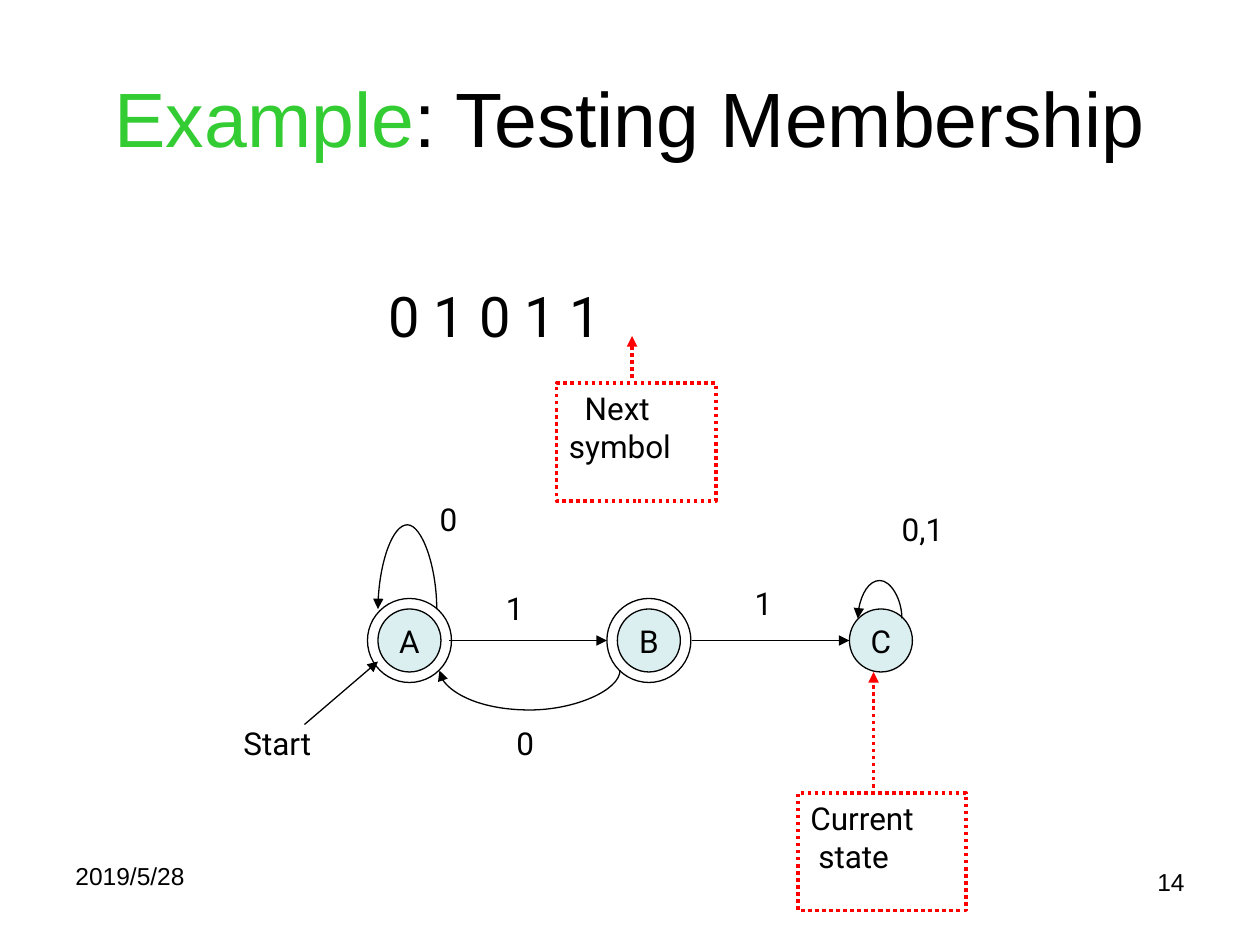
"""Build a slide that tests string membership with a three-state automaton."""
from lxml import etree
from pptx import Presentation
from pptx.dml.color import RGBColor
from pptx.enum.dml import MSO_LINE
from pptx.enum.shapes import MSO_CONNECTOR, MSO_SHAPE
from pptx.enum.text import MSO_ANCHOR, PP_ALIGN
from pptx.oxml.ns import qn
from pptx.util import Inches, Pt

OVAL, RECT = MSO_SHAPE.OVAL, MSO_SHAPE.RECTANGLE
LINE, CURVE = MSO_CONNECTOR.STRAIGHT, MSO_CONNECTOR.CURVE
DOT = MSO_LINE.ROUND_DOT
LEFT, MID, RIGHT = PP_ALIGN.LEFT, PP_ALIGN.CENTER, PP_ALIGN.RIGHT
TOP, HALF = MSO_ANCHOR.TOP, MSO_ANCHOR.MIDDLE

THEME = dict(ink="000000", green="33CC33", red="FF0000", state="BBE0E3",
             head="Arial", body="Roboto", title=44, tape=32, text=18, foot=14,
             thin=0.75, thick=2)
COLS, ROWS = 120, 90
CELL = Inches(10) / COLS
AXIS, DISC, RING = 61, 3, 4

TITLE = [("Example", "green"), (": Testing Membership", "ink")]
STATES = [("A", 39, True), ("B", 61.8, True), ("C", 83.9, False)]
LABELS = [("Start", 22, 68.4, 10.8), ("1", 47, 55.5, 4.6), ("0", 48, 68.4, 4.6),
          ("1", 70.7, 55, 4.6), ("0", 40.7, 47, 4.6), ("0,1", 84.7, 48, 8)]
ARROWS = [(29, 69, 36, 63), (42.8, AXIS, 57.8, AXIS), (65.9, AXIS, 80.9, AXIS)]
LOOPS = [(38.8, 58, 5.6, -8.9), (50.45, 63.85, 17.2, 4.2), (83.8, 58.9, 4.2, -4)]
NOTES = [([("Next", 1.5), ("symbol", 0)], 53, 36.5, 15.2, 32),
         ([("Current", 0), ("state", 0.75)], 76, 75.5, 16, 64)]
FEET = [("14", 86, 82, RIGHT), ("2019/5/28", 6, 81.4, LEFT)]


def at(*cells):
    return [round(c * CELL) for c in cells]


def color(name):
    return RGBColor.from_string(THEME[name])


def write(shape, lines, size="text", font="body", align=LEFT, anchor=TOP, pad=None):
    """Each line is (runs, indent); each run is (text, colour)."""
    frame = shape.text_frame
    frame.word_wrap = True
    frame.vertical_anchor = anchor
    if pad is not None:
        frame.margin_left = frame.margin_right = pad
    for i, (runs, indent) in enumerate(lines):
        para = frame.add_paragraph() if i else frame.paragraphs[0]
        para.alignment = align
        para._p.get_or_add_pPr().set("marL", str(round(indent * CELL)))
        for text, ink in runs:
            run = para.add_run()
            run.text = text
            run.font.name = THEME[font]
            run.font.size = Pt(THEME[size])
            run.font.color.rgb = color(ink)


def label(slide, box, text, **style):
    write(slide.shapes.add_textbox(*at(*box)), [([(text, "ink")], 0)], **style)


def stroke(line, note=False):
    line.color.rgb = color("red" if note else "ink")
    line.width = Pt(THEME["thick" if note else "thin"])
    if note:
        line.dash_style = DOT


def outline(slide, kind, box, note=False):
    shape = slide.shapes.add_shape(kind, *at(*box))
    shape.shadow.inherit = False
    shape.fill.background()
    stroke(shape.line, note)
    return shape


def arrow(slide, kind, ends, note=False):
    link = slide.shapes.add_connector(kind, *ends)
    stroke(link.line, note)
    prop = link._element.spPr
    etree.SubElement(prop.find(qn("a:ln")), qn("a:tailEnd"), type="triangle")
    etree.SubElement(prop, qn("a:effectLst"))
    return prop


def loop(slide, mid, base, span, rise):
    thin = 1600
    x, y, half, high = at(mid, base, span / 2, rise)
    way = 1 if rise > 0 else -1
    ends = (x - way * thin // 2, y - way * half, x + way * thin // 2, y + way * half)
    prop = arrow(slide, CURVE, ends)
    prop.find(qn("a:xfrm")).set("rot", str(90 * 60000 if rise > 0 else 270 * 60000))
    geom = prop.find(qn("a:prstGeom"))
    vals = geom.find(qn("a:avLst"))
    if vals is None:
        vals = etree.SubElement(geom, qn("a:avLst"))
    bend = round(high / thin * 100000)
    etree.SubElement(vals, qn("a:gd"), name="adj1", fmla=f"val {bend}")


def disc(slide, name, mid, final):
    def box(r):
        return mid - r, AXIS - r, 2 * r, 2 * r

    shape = outline(slide, OVAL, box(DISC))
    shape.fill.solid()
    shape.fill.fore_color.rgb = color("state")
    tint = shape._element.spPr.find(qn("a:solidFill"))[0]
    etree.SubElement(tint, qn("a:alpha"), val="50000")
    write(shape, [([(name, "ink")], 0)], align=MID, anchor=HALF, pad=0)
    if final:
        outline(slide, OVAL, box(RING))


def main():
    deck = Presentation()
    deck.slide_width, deck.slide_height = at(COLS, ROWS)
    slide = deck.slides.add_slide(deck.slide_layouts[6])
    head = slide.shapes.add_textbox(*at(6, 3.6, 108, 15))
    write(head, [(TITLE, 0)], size="title", font="head", align=MID, anchor=HALF)
    for state in STATES:
        disc(slide, *state)
    for ends in ARROWS:
        arrow(slide, LINE, at(*ends))
    for bend in LOOPS:
        loop(slide, *bend)
    for text, x, y, wide in LABELS:
        label(slide, (x, y, wide, 6), text)
    label(slide, (35.8, 26.2, 23.6, 7.6), "0 1 0 1 1", size="tape")
    for lines, x, y, wide, tip in NOTES:
        note = outline(slide, RECT, (x, y, wide, 11.2), note=True)
        write(note, [([(text, "ink")], pad) for text, pad in lines])
        arrow(slide, LINE, at(x + 7.2, y - 0.5, x + 7.2, tip), note=True)
    for text, x, y, align in FEET:
        label(slide, (x, y, 28, 6.2), text, size="foot", font="head", align=align)
    deck.save("out.pptx")


if __name__ == "__main__":
    main()
